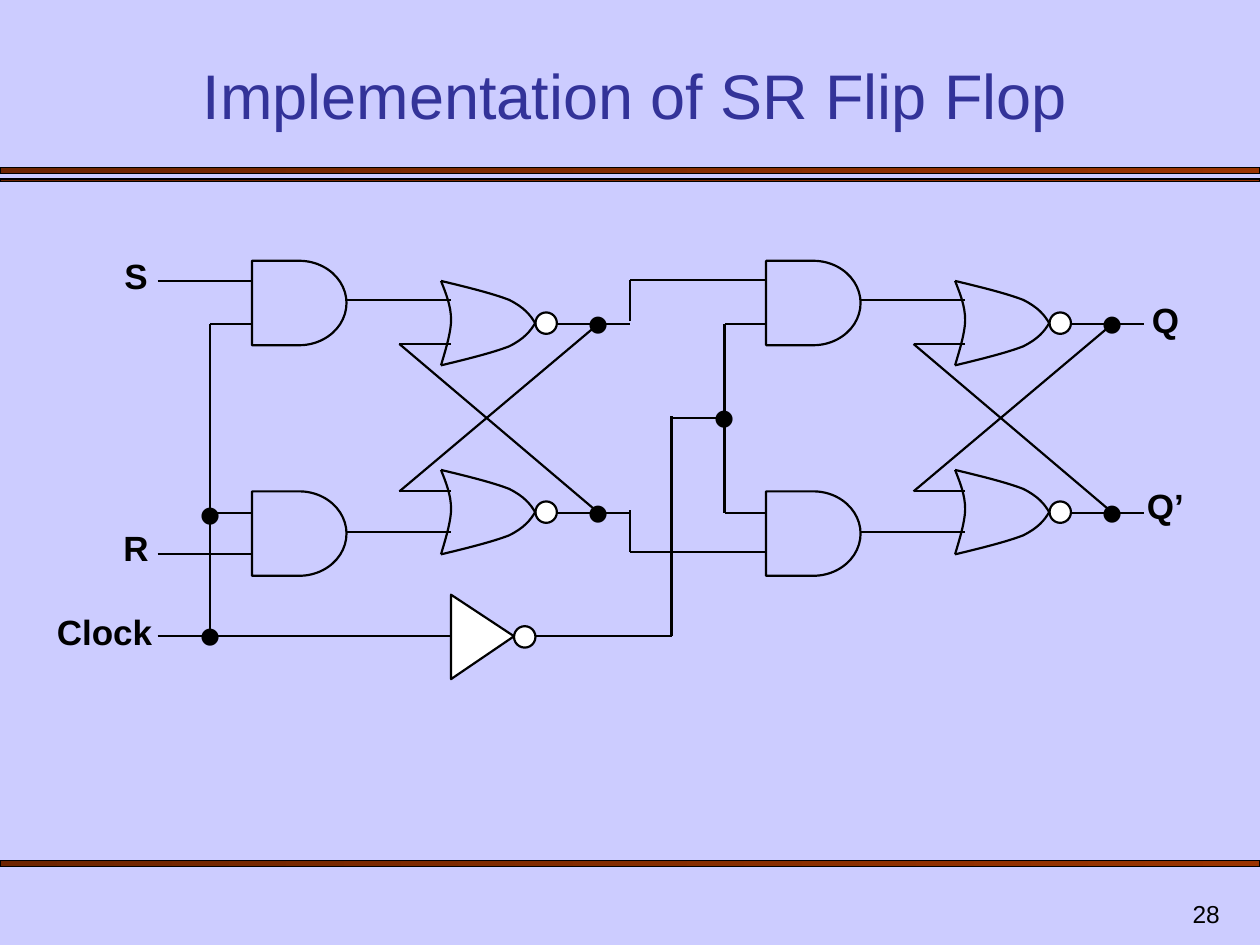
from lxml import etree
from pptx import Presentation
from pptx import util as u
from pptx.dml.color import RGBColor
from pptx.enum import shapes, text
from pptx.oxml.ns import qn

COLORS = {
    "background": "CCCCFF",
    "title": "333399",
    "ink": "000000",
    "bubble": "FFFFFF",
    "bar_start": "6D2400",
    "bar_end": "993300",
}
FONT = "Arial"
GATE_WIDTH, GATE_HEIGHT = 0.75, 0.67
BUBBLE = 0.17

# NOR outline: a start point, then three Bezier points for each curve
NOR_BACK = [(0, 0), (0.04, 0.1), (0.08, 0.2), (0.08, 0.31),
            (0.08, 0.42), (0.02, 0.6), (0, 0.67)]
NOR_TOP = [(0, 0), (0.21, 0.05), (0.41, 0.1), (0.54, 0.15),
           (0.66, 0.21), (0.71, 0.27), (0.75, 0.34)]
NOR_BOTTOM = [(x, GATE_HEIGHT - y) for x, y in NOR_TOP]


def rgb(name):
    return RGBColor.from_string(COLORS[name])


def bend(shape):
    """Turn each three line segments of a freeform into one Bezier curve."""
    segments = list(shape._element.iter(qn("a:lnTo")))
    for first in range(0, len(segments), 3):
        curve = etree.Element(qn("a:cubicBezTo"))
        segments[first].addprevious(curve)
        for segment in segments[first:first + 3]:
            curve.append(segment[0])
            segment.getparent().remove(segment)


def write_text(frame, content, size=20, color="ink", bold=False,
               align=text.PP_ALIGN.CENTER, anchor=text.MSO_ANCHOR.TOP,
               auto_size=text.MSO_AUTO_SIZE.NONE):
    frame.word_wrap = True
    frame.auto_size = auto_size
    frame.vertical_anchor = anchor
    paragraph = frame.paragraphs[0]
    paragraph.alignment = align
    run = paragraph.add_run()
    run.text = content
    run.font.name = FONT
    run.font.size = u.Pt(size)
    run.font.bold = bold
    run.font.color.rgb = rgb(color)


class CircuitSlide:
    def __init__(self, slide, line_width=1.25):
        self.slide = slide
        self.line_width = line_width
        slide.background.fill.solid()
        slide.background.fill.fore_color.rgb = rgb("background")

    def outline(self, shape, fill=None, width=None):
        shape.shadow.inherit = False
        shape.line.color.rgb = rgb("ink")
        shape.line.width = u.Pt(width or self.line_width)
        if fill:
            shape.fill.solid()
            shape.fill.fore_color.rgb = rgb(fill)
        else:
            shape.fill.background()

    def title(self, content, left, top, width, height):
        title = self.slide.shapes.title
        title.left, title.top = u.Inches(left), u.Inches(top)
        title.width, title.height = u.Inches(width), u.Inches(height)
        write_text(title.text_frame, content, size=36, color="title",
                   anchor=text.MSO_ANCHOR.BOTTOM)

    def label(self, content, left, top, width=0.5, height=0.43, **style):
        box = self.slide.shapes.add_textbox(
            u.Inches(left), u.Inches(top), u.Inches(width), u.Inches(height))
        write_text(box.text_frame, content, **style)

    def junction(self, left, top):
        self.label("•", left, top, height=0.7, size=36,
                   auto_size=text.MSO_AUTO_SIZE.SHAPE_TO_FIT_TEXT)

    def preset(self, kind, left, top, width, height, parent=None):
        return (parent or self.slide).shapes.add_shape(
            kind, u.Inches(left), u.Inches(top), u.Inches(width), u.Inches(height))

    def bar(self, top, height):
        bar = self.preset(shapes.MSO_SHAPE.RECTANGLE, 0, top, 10, height)
        self.outline(bar, width=0.75)
        bar.fill.gradient()
        bar.fill.gradient_angle = 0
        for stop, name in zip(bar.fill.gradient_stops, ("bar_start", "bar_end")):
            stop.color.rgb = rgb(name)

    def wire(self, *points):
        """Join successive points with straight connectors."""
        for start, end in zip(points, points[1:]):
            wire = self.slide.shapes.add_connector(
                shapes.MSO_CONNECTOR.STRAIGHT, *map(u.Inches, start + end))
            wire.line.color.rgb = rgb("ink")
            wire.line.width = u.Pt(self.line_width)
            etree.SubElement(wire._element.spPr, qn("a:effectLst"))

    def freeform(self, parent, points, left, top, close=False, fill=None):
        points = [(u.Inches(left + x), u.Inches(top + y)) for x, y in points]
        builder = parent.shapes.build_freeform(*points[0], scale=1.0)
        builder.add_line_segments(points[1:], close=close)
        shape = builder.convert_to_shape()
        self.outline(shape, fill)
        return shape

    def bubble(self, left, top, parent=None):
        circle = self.preset(shapes.MSO_SHAPE.OVAL, left, top, BUBBLE, BUBBLE, parent)
        self.outline(circle, "bubble")

    def and_gate(self, left, top):
        self.outline(self.preset(shapes.MSO_SHAPE.FLOWCHART_DELAY,
                                 left, top, GATE_WIDTH, GATE_HEIGHT))

    def nor_gate(self, left, top):
        self.bubble(left + GATE_WIDTH, top + 0.25)
        group = self.slide.shapes.add_group_shape()
        for points in (NOR_BACK, NOR_TOP, NOR_BOTTOM):
            bend(self.freeform(group, points, left, top))

    def inverter(self, left, top):
        group = self.slide.shapes.add_group_shape()
        self.bubble(left + 0.5, top + 0.25, group)
        self.freeform(group, [(0, 0), (0, 0.67), (0.5, 0.33)], left, top,
                      close=True, fill="bubble")

    def latch(self, left):
        """Two AND gates feeding a cross-coupled pair of NOR gates."""
        nor_left, feedback, node = left + 1.5, left + 1.17, left + 2.75
        for and_top, nor_top, signal, feedback_y, other_output in (
                (2.07, 2.23, 2.38, 2.73, 4.07), (3.9, 3.73, 4.22, 3.9, 2.57)):
            output = nor_top + 0.34
            self.and_gate(left, and_top)
            self.nor_gate(nor_left, nor_top)
            self.wire((left + GATE_WIDTH, signal), (nor_left + 0.08, signal))
            self.wire((nor_left + 0.08, feedback_y), (feedback, feedback_y),
                      (node, other_output))
            self.wire((left + 2.42, output), (left + 3, output))
            self.junction(node - 0.25, nor_top - 0.03)


def main():
    presentation = Presentation()
    presentation.slide_width, presentation.slide_height = u.Inches(10), u.Inches(7.5)
    circuit = CircuitSlide(presentation.slides.add_slide(presentation.slide_layouts[5]))

    # Frame: bars, title and page number
    for top, height in ((1.33, 0.05), (1.42, 0.02), (6.83, 0.05)):
        circuit.bar(top, height)
    circuit.title("Implementation of SR Flip Flop", 0.58, 0.42, 8.92, 0.68)
    circuit.label("28", 7.7, 7, 2.08, 0.42, size=14, align=text.PP_ALIGN.RIGHT,
                  anchor=text.MSO_ANCHOR.BOTTOM)

    # Master and slave latches
    for left in (2, 6.08):
        circuit.latch(left)

    # Inputs and clock of the master
    circuit.wire((1.25, 2.23), (2, 2.23))
    circuit.wire((1.25, 4.4), (2, 4.4))
    circuit.wire((2, 2.57), (1.67, 2.57), (1.67, 5.05))
    circuit.wire((1.67, 4.07), (2, 4.07))
    circuit.wire((1.25, 5.05), (3.58, 5.05))

    # Master outputs into the slave
    circuit.wire((5, 2.55), (5, 2.22), (6.08, 2.22))
    circuit.wire((5, 4.05), (5, 4.38), (6.08, 4.38))

    # Inverted clock into the slave
    circuit.inverter(3.58, 4.72)
    circuit.wire((4.25, 5.05), (5.33, 5.05), (5.33, 3.3))
    circuit.wire((5.33, 3.32), (5.75, 3.32))
    circuit.wire((6.08, 2.57), (5.75, 2.57), (5.75, 4.07), (6.08, 4.07))

    # Clock junctions
    for left, top in ((1.42, 3.72), (1.42, 4.68), (5.5, 2.95)):
        circuit.junction(left, top)

    # Signal names
    for name, left, top, width in (("S", 0.83, 1.97, 0.5), ("R", 0.83, 4.13, 0.5),
                                   ("Clock", 0.33, 4.8, 1), ("Q", 9, 2.32, 0.5),
                                   ("Q’", 9, 3.8, 0.5)):
        circuit.label(name, left, top, width, bold=True,
                      auto_size=text.MSO_AUTO_SIZE.SHAPE_TO_FIT_TEXT)

    presentation.save("out.pptx")


if __name__ == "__main__":
    main()
